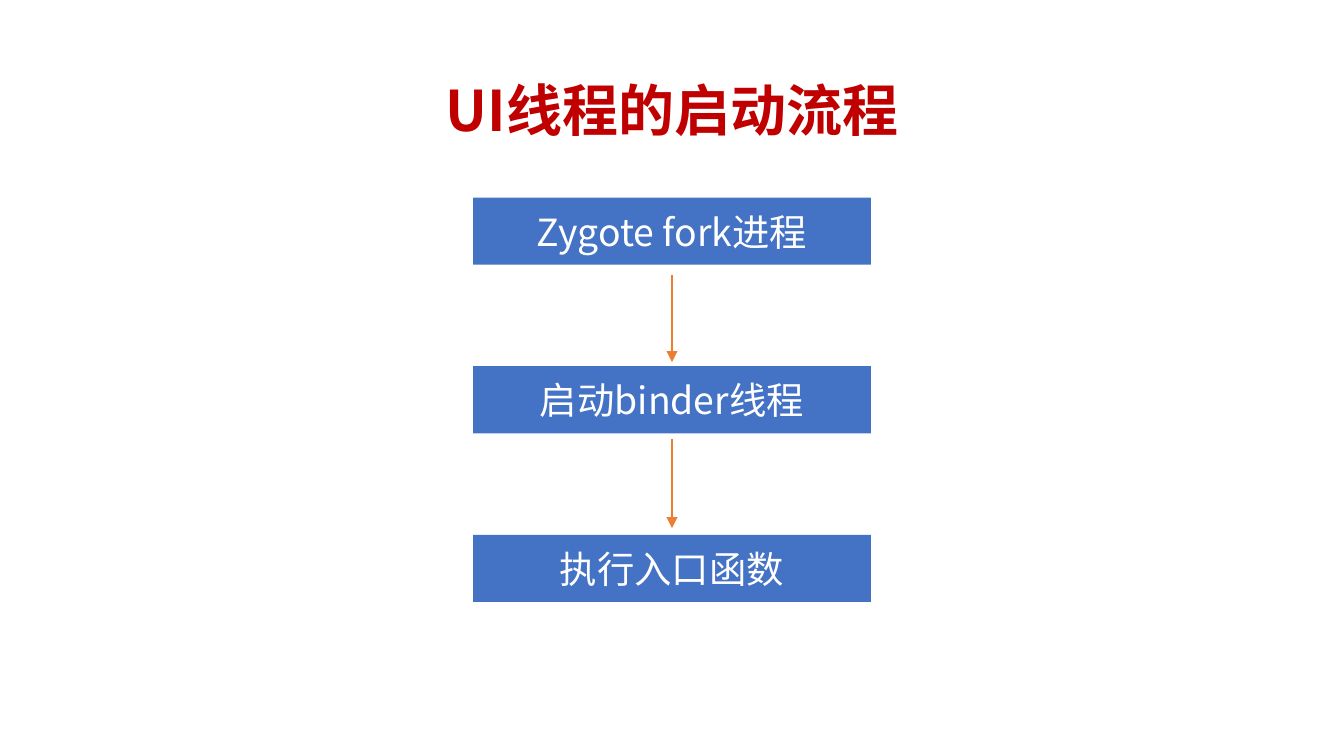
"""Build a slide showing the start-up flow of the UI thread."""
from dataclasses import dataclass

from lxml import etree
from pptx import Presentation
from pptx.dml.color import RGBColor
from pptx.enum.shapes import MSO_CONNECTOR, MSO_SHAPE
from pptx.enum.text import MSO_ANCHOR, PP_ALIGN
from pptx.oxml.ns import qn
from pptx.shapes.autoshape import Shape
from pptx.slide import Slide
from pptx.util import Inches, Pt

RECTANGLE = MSO_SHAPE.RECTANGLE
STRAIGHT = MSO_CONNECTOR.STRAIGHT
MIDDLE = MSO_ANCHOR.MIDDLE
CENTER = PP_ALIGN.CENTER

RED = RGBColor(0xC0, 0x00, 0x00)
BLUE = RGBColor(0x44, 0x72, 0xC4)
ORANGE = RGBColor(0xED, 0x7D, 0x31)
WHITE = RGBColor(0xFF, 0xFF, 0xFF)
FONT = "Noto Sans CJK SC"

SLIDE_WIDTH = 10
SLIDE_HEIGHT = SLIDE_WIDTH * 9 / 16
CENTER_X = SLIDE_WIDTH / 2
TITLE_TOP, TITLE_WIDTH, TITLE_HEIGHT = 0.3, 8.62, 1.09
FIRST_TOP, LAST_TOP = 1.47, 3.98
STEP_WIDTH, STEP_HEIGHT = 2.96, 0.5


@dataclass(frozen=True)
class Step:
    """A stage of the flow, with the gaps around the arrow that leaves it."""

    label: str
    gap_before: float = 0
    gap_after: float = 0


STEPS = (
    Step("Zygote fork进程", 0.08, 0.03),
    Step("启动binder线程", 0.04, 0.05),
    Step("执行入口函数"),
)
STEP_PITCH = (LAST_TOP - FIRST_TOP) / (len(STEPS) - 1)


def write_text(box: Shape, text: str, size: float, color: RGBColor, bold: bool = False) -> None:
    """Write one centred line in the middle of a box."""
    frame = box.text_frame
    frame.word_wrap = True
    frame.vertical_anchor = MIDDLE
    para = frame.paragraphs[0]
    para.text = text
    para.alignment = CENTER
    font = para.font
    font.name, font.size, font.bold = FONT, Pt(size), bold
    font.color.rgb = color
    defaults = para._p.pPr.find(qn("a:defRPr"))
    etree.SubElement(defaults, qn("a:ea"), typeface=FONT)


def add_title(slide: Slide, text: str) -> None:
    """Add the centred slide title."""
    box = slide.shapes.add_textbox(
        Inches(CENTER_X - TITLE_WIDTH / 2), Inches(TITLE_TOP),
        Inches(TITLE_WIDTH), Inches(TITLE_HEIGHT))
    write_text(box, text, 30, RED, bold=True)
    box.text_frame.paragraphs[0].line_spacing = 0.9


def add_step(slide: Slide, step: Step, top: float) -> None:
    """Add the box of one stage."""
    box = slide.shapes.add_shape(
        RECTANGLE, Inches(CENTER_X - STEP_WIDTH / 2), Inches(top),
        Inches(STEP_WIDTH), Inches(STEP_HEIGHT))
    box.shadow.inherit = False
    box.fill.solid()
    box.fill.fore_color.rgb = BLUE
    box.line.fill.background()
    write_text(box, step.label, 20, WHITE)


def add_arrow(slide: Slide, start: float, end: float) -> None:
    """Add a downward arrow on the centre line."""
    arrow = slide.shapes.add_connector(
        STRAIGHT, Inches(CENTER_X), Inches(start), Inches(CENTER_X), Inches(end))
    arrow.line.color.rgb = ORANGE
    arrow.line.width = Pt(1.5)
    etree.SubElement(arrow.line._get_or_add_ln(), qn("a:tailEnd"), type="triangle")
    etree.SubElement(arrow._element.spPr, qn("a:effectLst"))


def main() -> None:
    """Build and save the deck."""
    deck = Presentation()
    deck.slide_width, deck.slide_height = Inches(SLIDE_WIDTH), Inches(SLIDE_HEIGHT)
    slide = deck.slides.add_slide(deck.slide_layouts[6])
    add_title(slide, "UI线程的启动流程")
    tops = [FIRST_TOP + row * STEP_PITCH for row in range(len(STEPS))]
    for step, top in zip(STEPS, tops):
        add_step(slide, step, top)
    for step, top, next_top in zip(STEPS, tops, tops[1:]):
        add_arrow(slide, top + STEP_HEIGHT + step.gap_before, next_top - step.gap_after)
    deck.save("out.pptx")


if __name__ == "__main__":
    main()
